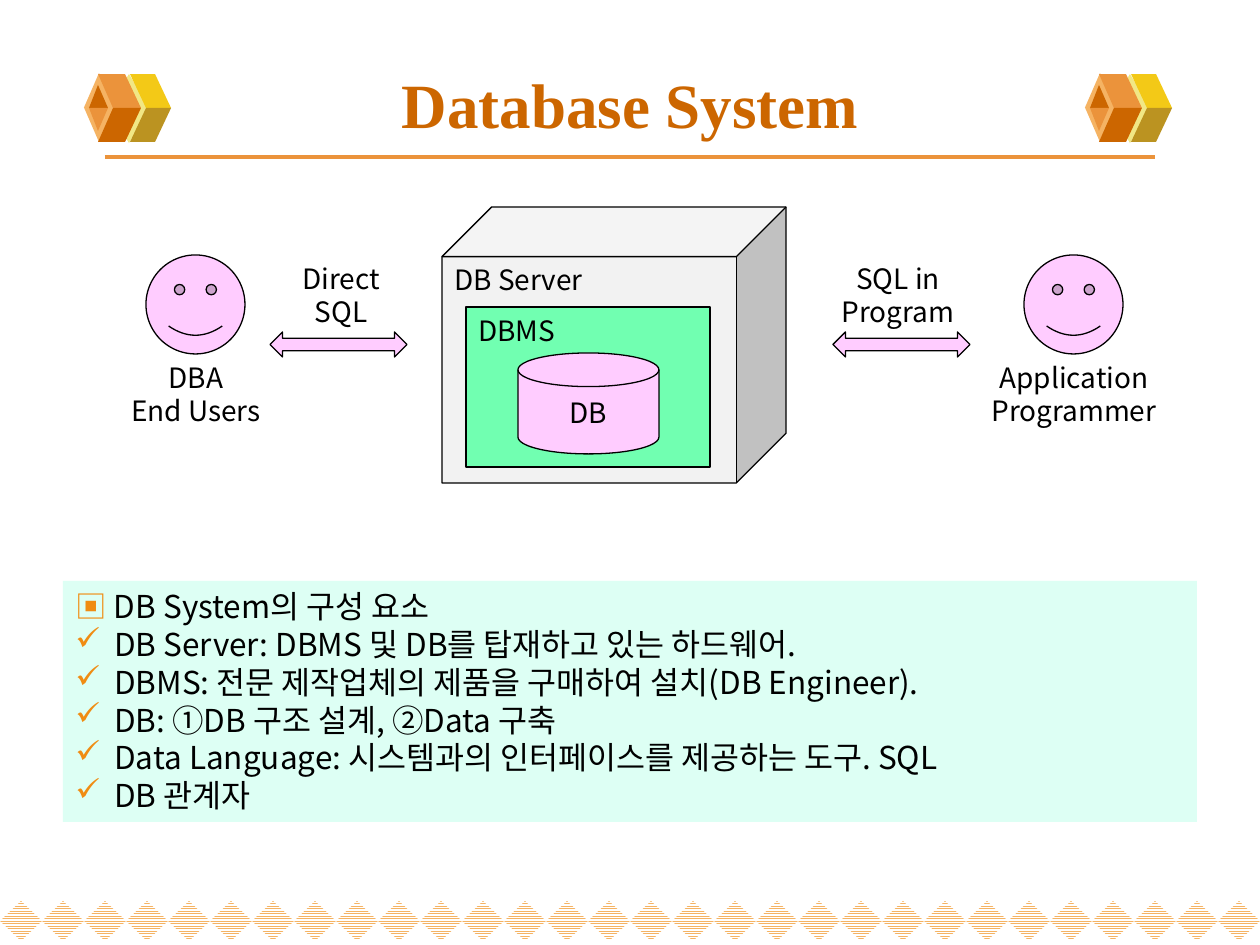
import pptx
import pptx.util
import pptx.dml.color
import pptx.enum.dml
import pptx.enum.shapes
import pptx.enum.text
import pptx.oxml.ns
from lxml import etree

PX = 914400 / 126
SANS, SERIF = "Noto Sans CJK KR", "Times New Roman"
INK, BROWN, ORANGE, PINK, ACCENT = "000000", "CC6600", "EB933B", "FFCCFF", "F08C12"
KIND = pptx.enum.shapes.MSO_SHAPE
ALIGN = pptx.enum.text.PP_ALIGN
ANCHOR = pptx.enum.text.MSO_ANCHOR

TITLE = "Database System"
SERVER_PARTS = [
    (KIND.CUBE, (442, 207, 344, 276), "F2F2F2", "DB Server", ALIGN.LEFT, ANCHOR.TOP),
    (KIND.RECTANGLE, (466, 307, 244, 160), "71FFB1", "DBMS", ALIGN.LEFT, ANCHOR.TOP),
    (KIND.FLOWCHART_MAGNETIC_DISK, (518, 353, 141, 101), PINK, "DB", ALIGN.CENTER, ANCHOR.MIDDLE),
]
# face left, role lines, arrow left, label left, label lines
USERS = [
    (146, ["DBA", "End Users"], 270, 243, ["Direct", "SQL"]),
    (1024, ["Application", "Programmer"], 833, 800, ["SQL in", "Program"]),
]
HEADING = [("▣ ", ACCENT), ("DB System의 구성 요소", INK)]
COMPONENTS = [
    "DB Server: DBMS 및 DB를 탑재하고 있는 하드웨어.",
    "DBMS: 전문 제작업체의 제품을 구매하여 설치(DB Engineer).",
    "DB: ①DB 구조 설계, ②Data 구축",
    "Data Language: 시스템과의 인터페이스를 제공하는 도구. SQL",
    "DB 관계자",
]
CUBE_LEFTS, CUBE_TOP, CUBE_HEIGHT = (84, 1085), 73, 70
CUBE_DIAMONDS = [((24, 1, 42, 69), "F1E785"), ((0, 0, 30, 69), "F5B363")]
# upper outline, upper colour, colour of its reflection below
CUBE_FACES = [
    ([(62, 35), (87, 35), (71, 1), (46, 1)], "F3C917", "BB9321"),
    ([(29, 35), (57, 35), (41, 1), (14, 1)], ORANGE, BROWN),
    ([(14, 12), (5, 35), (24, 35)], BROWN, ORANGE),
]


def px(n):
    return pptx.util.Emu(round(n * PX))


def rgb(value):
    return pptx.dml.color.RGBColor.from_string(value)


def add_sub(parent, tag, **attrs):
    return etree.SubElement(parent, pptx.oxml.ns.qn(tag), attrs)


def paint(s, fill, line=None):
    s.shadow.inherit = False
    s.fill.solid()
    s.fill.fore_color.rgb = rgb(fill)
    if line:
        s.line.color.rgb = rgb(line)
        s.line.width = pptx.util.Pt(0.75)
    else:
        s.line.fill.background()


def add_shape(shapes, kind, box, fill, line=None):
    s = shapes.add_shape(kind, *map(px, box))
    paint(s, fill, line)
    return s


def add_run(p, text, size, color=INK, font=SANS, bold=False):
    r = p.add_run()
    r.text = text
    r.font.size = pptx.util.Pt(size)
    r.font.bold = bold
    r.font.color.rgb = rgb(color)
    r.font.name = font
    add_sub(r.font._element, "a:ea", typeface=font)


def set_frame(s, anchor=ANCHOR.TOP):
    tf = s.text_frame
    tf.word_wrap = True
    tf.vertical_anchor = anchor
    return tf


def add_lines(tf, lines, size, align, **style):
    for i, line in enumerate(lines):
        p = tf.add_paragraph() if i else tf.paragraphs[0]
        p.alignment = align
        add_run(p, line, size, **style)


def add_label(shapes, box, lines, size=16, anchor=ANCHOR.TOP, **style):
    s = shapes.add_textbox(*map(px, box))
    add_lines(set_frame(s, anchor), lines, size, ALIGN.CENTER, **style)


def add_diamond_border(shapes):
    for i in range(30):
        s = add_shape(shapes, KIND.DIAMOND, (42 * i, 901, 42, 40), "FFFFFF")
        s.fill.patterned()
        s.fill.pattern = pptx.enum.dml.MSO_PATTERN.NARROW_HORIZONTAL
        s.fill.fore_color.rgb = rgb("F5B363")
        s.fill.back_color.rgb = rgb("FFFFFF")


def add_cube_ornament(shapes, left):
    for (x, y, w, h), fill in CUBE_DIAMONDS:
        add_shape(shapes, KIND.DIAMOND, (left + x, CUBE_TOP + y, w, h), fill)
    for outline, upper, lower in CUBE_FACES:
        reflection = [(x, CUBE_HEIGHT - y) for x, y in outline]
        for points, fill in ((outline, upper), (reflection, lower)):
            points = [(left + x, CUBE_TOP + y) for x, y in points]
            builder = shapes.build_freeform(*points[0], scale=PX)
            builder.add_line_segments(points[1:], close=True)
            paint(builder.convert_to_shape(), fill)


def add_header(shapes):
    s = shapes.add_connector(pptx.enum.shapes.MSO_CONNECTOR.STRAIGHT,
                             px(105), px(157), px(1155), px(157))
    s.line.color.rgb = rgb(ORANGE)
    s.line.width = pptx.util.Pt(2.25)
    add_sub(s._element.spPr, "a:effectLst")
    for left in CUBE_LEFTS:
        add_cube_ornament(shapes, left)
    add_label(shapes, (63, 50, 1134, 107), [TITLE], 36, ANCHOR.MIDDLE,
              color=BROWN, font=SERIF, bold=True)


def add_diagram(shapes):
    for kind, box, fill, text, align, anchor in SERVER_PARTS:
        s = add_shape(shapes, kind, box, fill, INK)
        if kind == KIND.CUBE:
            s.adjustments[0] = 0.18
        add_lines(set_frame(s, anchor), [text], 16, align)
    for face, role, arrow, label, words in USERS:
        add_shape(shapes, KIND.SMILEY_FACE, (face, 255, 99, 99), PINK, INK)
        add_label(shapes, (face - 54, 354, 208, 81), role)
        add_shape(shapes, KIND.LEFT_RIGHT_ARROW, (arrow, 332, 137, 25), PINK, INK)
        add_label(shapes, (label, 255, 196, 81), words)


def add_components(shapes):
    tf = set_frame(add_shape(shapes, KIND.RECTANGLE, (63, 581, 1134, 241), "DDFFF4"))
    p = tf.paragraphs[0]
    p.alignment = ALIGN.LEFT
    for text, color in HEADING:
        add_run(p, text, 18, color)
    for text in COMPONENTS:
        p = tf.add_paragraph()
        p.alignment = ALIGN.LEFT
        pPr = p._p.get_or_add_pPr()
        pPr.set("marL", str(px(39)))
        pPr.set("indent", str(px(-39)))
        add_sub(add_sub(pPr, "a:buClr"), "a:srgbClr", val=ACCENT)
        add_sub(pPr, "a:buChar", char="✓")
        add_run(p, text, 18)


def main():
    """Build the database system slide."""
    prs = pptx.Presentation()
    prs.slide_width, prs.slide_height = px(1260), px(945)
    shapes = prs.slides.add_slide(prs.slide_layouts[6]).shapes
    add_diamond_border(shapes)
    add_header(shapes)
    add_diagram(shapes)
    add_components(shapes)
    prs.save("out.pptx")


if __name__ == "__main__":
    main()
